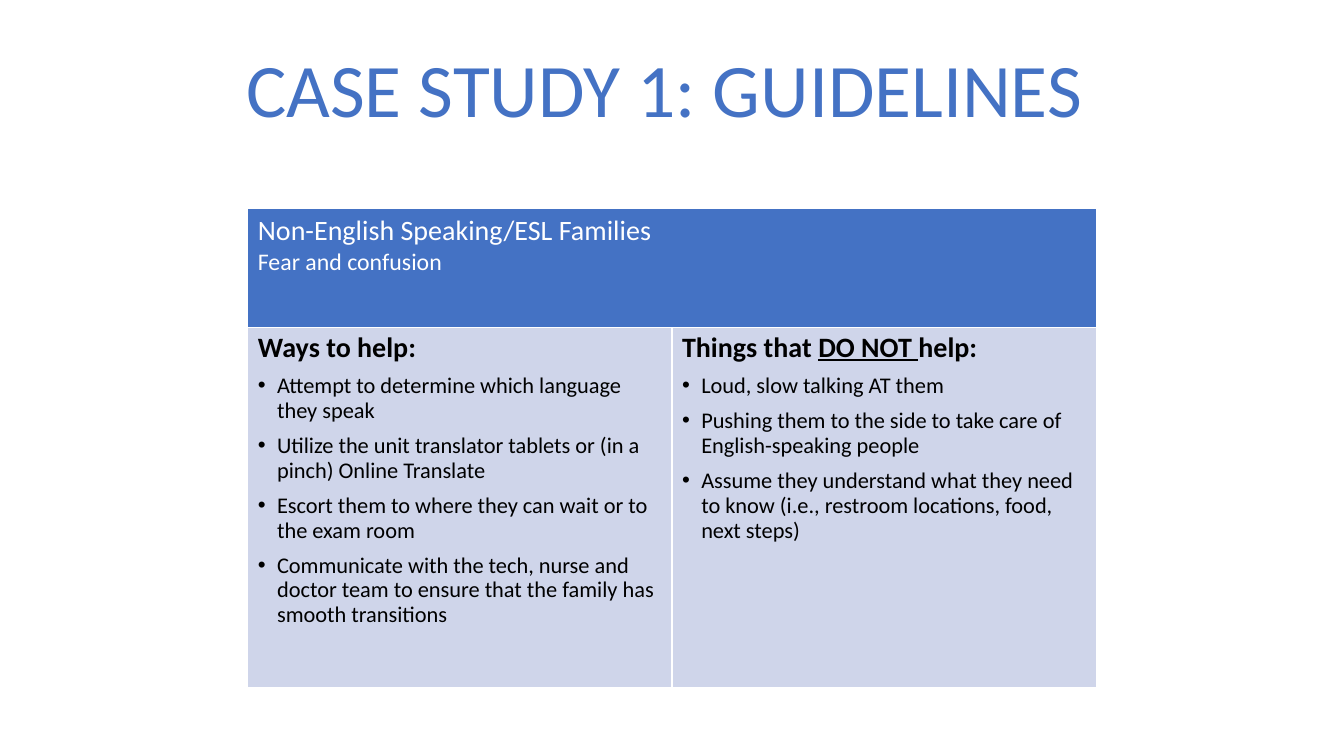
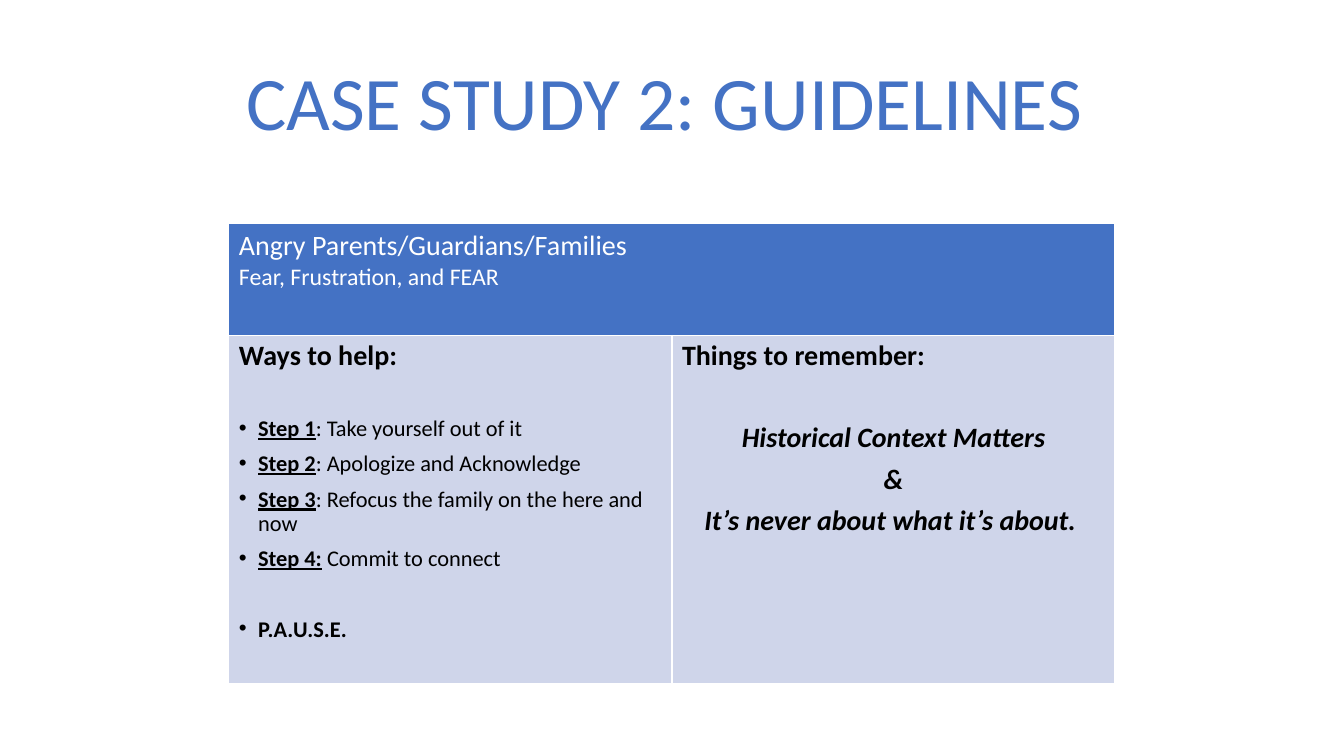
from lxml import etree
from pptx import Presentation
from pptx import util as u
from pptx.dml.color import RGBColor
from pptx.enum import text
from pptx.oxml import ns

BLUE = RGBColor(0x44, 0x72, 0xC4)
PALE = RGBColor(0xCF, 0xD5, 0xEA)
WHITE = RGBColor(0xFF, 0xFF, 0xFF)
BLACK = RGBColor(0x00, 0x00, 0x00)

COLUMNS, ROWS = 32, 18
INDENT = u.Inches(0.19)
TITLE = {"size": u.Pt(54), "color": BLUE}
TOPIC = {"size": u.Pt(20), "color": WHITE}
FEELING = {"size": u.Pt(17), "color": WHITE}
HEADING = {"size": u.Pt(20), "bold": True}
UNDERLINED = {**HEADING, "underline": True}
MOTTO = {**HEADING, "italic": True}
PLAIN = {"size": u.Pt(16)}
STRONG = {**PLAIN, "bold": True}
STEP = {**STRONG, "underline": True}

CENTRED = {"alignment": text.PP_ALIGN.CENTER}
BODY = {"line_spacing": 0.9, "space_before": u.Pt(7.5)}
BODY_CENTRED = {**BODY, **CENTRED}


def set_all(target, values):
    for name, value in values.items():
        setattr(target, name, value)


def heading(words):
    return [(words, HEADING)], BODY, False


def bullet(*spans, gap=7.5):
    return spans, {**BODY, "space_before": u.Pt(gap)}, True


def motto(words, gap=7.5):
    return [(words, MOTTO)], {**BODY_CENTRED, "space_before": u.Pt(gap)}, False


class Deck:
    font = "Calibri"

    def __init__(self):
        self.deck = Presentation()
        self.deck.slide_width = u.Inches(13.33)
        self.deck.slide_height = u.Inches(7.5)
        self.page = None

    def x(self, columns):
        return round(self.deck.slide_width * columns / COLUMNS)

    def y(self, rows):
        return round(self.deck.slide_height * rows / ROWS)

    def add_page(self):
        self.page = self.deck.slides.add_slide(self.deck.slide_layouts[6])

    def add_paragraphs(self, frame, paragraphs):
        for index, (spans, layout, bulleted) in enumerate(paragraphs):
            para = frame.add_paragraph() if index else frame.paragraphs[0]
            set_all(para, layout)
            if bulleted:
                self.add_bullet(para)
            for words, style in spans:
                span = para.add_run()
                span.text = words
                look = {"name": self.font, "bold": False, "color": BLACK, **style}
                span.font.color.rgb = look.pop("color")
                set_all(span.font, look)

    def add_bullet(self, para):
        properties = para._p.get_or_add_pPr()
        properties.set("marL", str(INDENT))
        properties.set("indent", str(-INDENT))
        etree.SubElement(properties, ns.qn("a:buFont")).set("typeface", "Arial")
        etree.SubElement(properties, ns.qn("a:buChar")).set("char", "•")

    def title(self, words, top):
        box = self.page.shapes.add_textbox(
            self.x(5.52), self.y(top), self.x(20.6), self.y(2.42))
        box.text_frame.word_wrap = False
        box.text_frame.auto_size = text.MSO_AUTO_SIZE.SHAPE_TO_FIT_TEXT
        self.add_paragraphs(box.text_frame, [([(words, TITLE)], CENTRED, False)])

    def guide(self, top, width, heights, topic, feeling, left, right):
        table = self.page.shapes.add_table(
            2, 2, self.x((COLUMNS - width) / 2), self.y(top),
            self.x(width), self.y(sum(heights))).table
        for row, height in zip(table.rows, heights):
            row.height = self.y(height)
        table.cell(0, 0).merge(table.cell(0, 1))
        header = [([(topic, TOPIC)], {}, False), ([(feeling, FEELING)], {}, False)]
        cells = [(0, 0, BLUE, header), (1, 0, PALE, left), (1, 1, PALE, right)]
        for row, column, fill, paragraphs in cells:
            cell = table.cell(row, column)
            cell.fill.solid()
            cell.fill.fore_color.rgb = fill
            self.add_paragraphs(cell.text_frame, paragraphs)


def language_page(deck):
    deck.add_page()
    helps = [
        "Attempt to determine which language they speak",
        "Utilize the unit translator tablets or (in a pinch) Online Translate",
        "Escort them to where they can wait or to the exam room",
        "Communicate with the tech, nurse and doctor team to ensure that "
        "the family has smooth transitions",
    ]
    hinders = [
        "Loud, slow talking AT them",
        "Pushing them to the side to take care of English-speaking people",
        "Assume they understand what they need to know "
        "(i.e., restroom locations, food, next steps)",
    ]
    warning = [("Things that ", HEADING), ("DO NOT ", UNDERLINED), ("help:", HEADING)]
    deck.guide(
        4.97, 20.2, (2.83, 8.57),
        "Non-English Speaking/ESL Families", "Fear and confusion",
        [heading("Ways to help:")] + [bullet((words, PLAIN)) for words in helps],
        [(warning, BODY, False)] + [bullet((words, PLAIN)) for words in hinders])
    deck.title("CASE STUDY 1: GUIDELINES", 0.89)


def anger_page(deck):
    deck.add_page()
    steps = [
        ("Step 1", ": Take yourself out of it", 32.5),
        ("Step 2", ": Apologize and Acknowledge", 7.5),
        ("Step 3", ": Refocus the family on the here and now", 7.5),
        ("Step 4:", " Commit to connect", 7.5),
    ]
    deck.guide(
        5.33, 21.1, (2.66, 8.28),
        "Angry Parents/Guardians/Families", "Fear, Frustration, and FEAR",
        [heading("Ways to help:")]
        + [bullet((label, STEP), (words, PLAIN), gap=gap) for label, words, gap in steps]
        + [bullet(("P.A.U.S.E.", STRONG), gap=32.5)],
        [heading("Things to remember:"),
         motto("Historical Context Matters", gap=37),
         motto("&"),
         motto("It’s never about what it’s about. ")])
    deck.title("CASE STUDY 2: GUIDELINES", 1.2)


def main():
    deck = Deck()
    language_page(deck)
    anger_page(deck)
    deck.deck.save("out.pptx")


if __name__ == "__main__":
    main()
